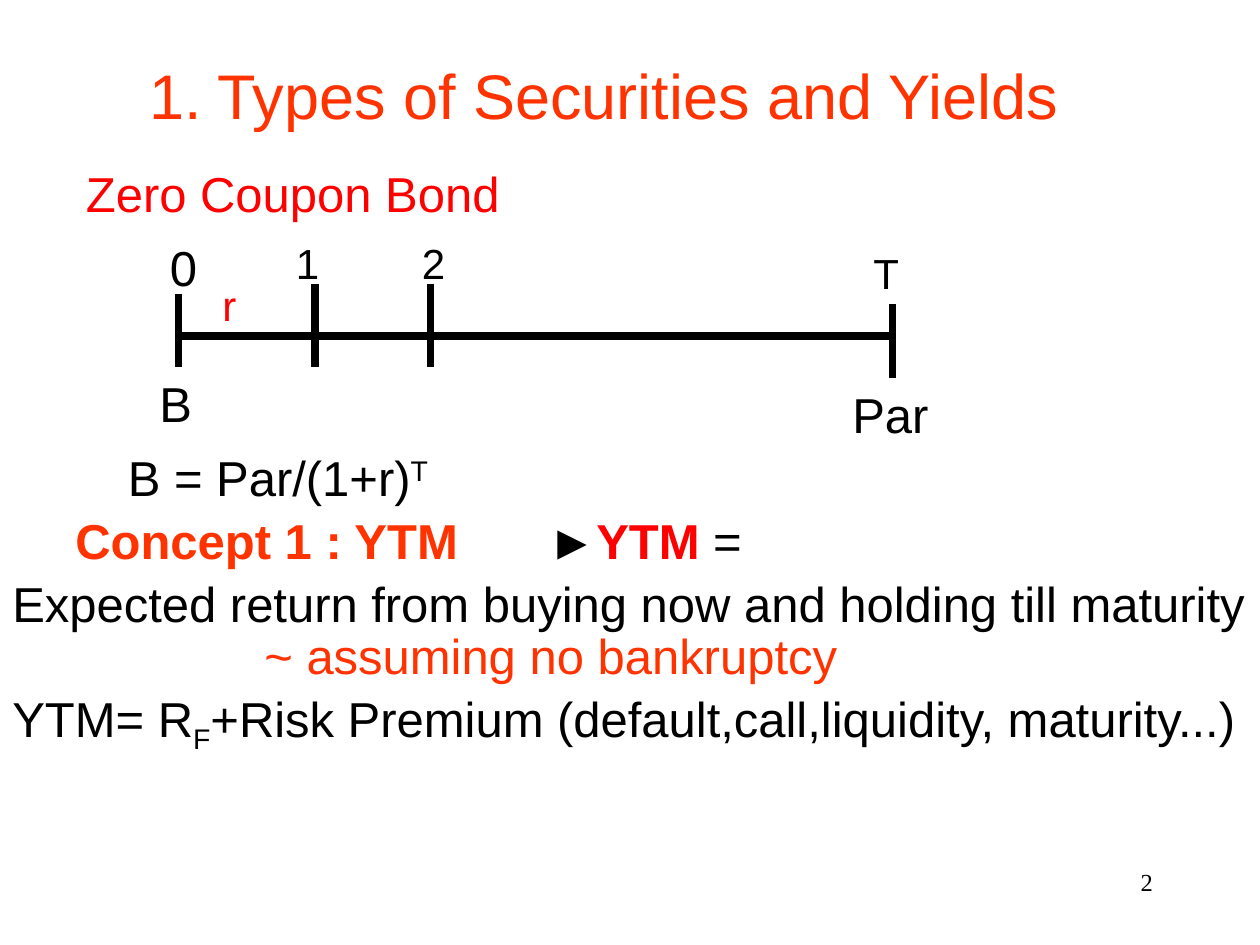
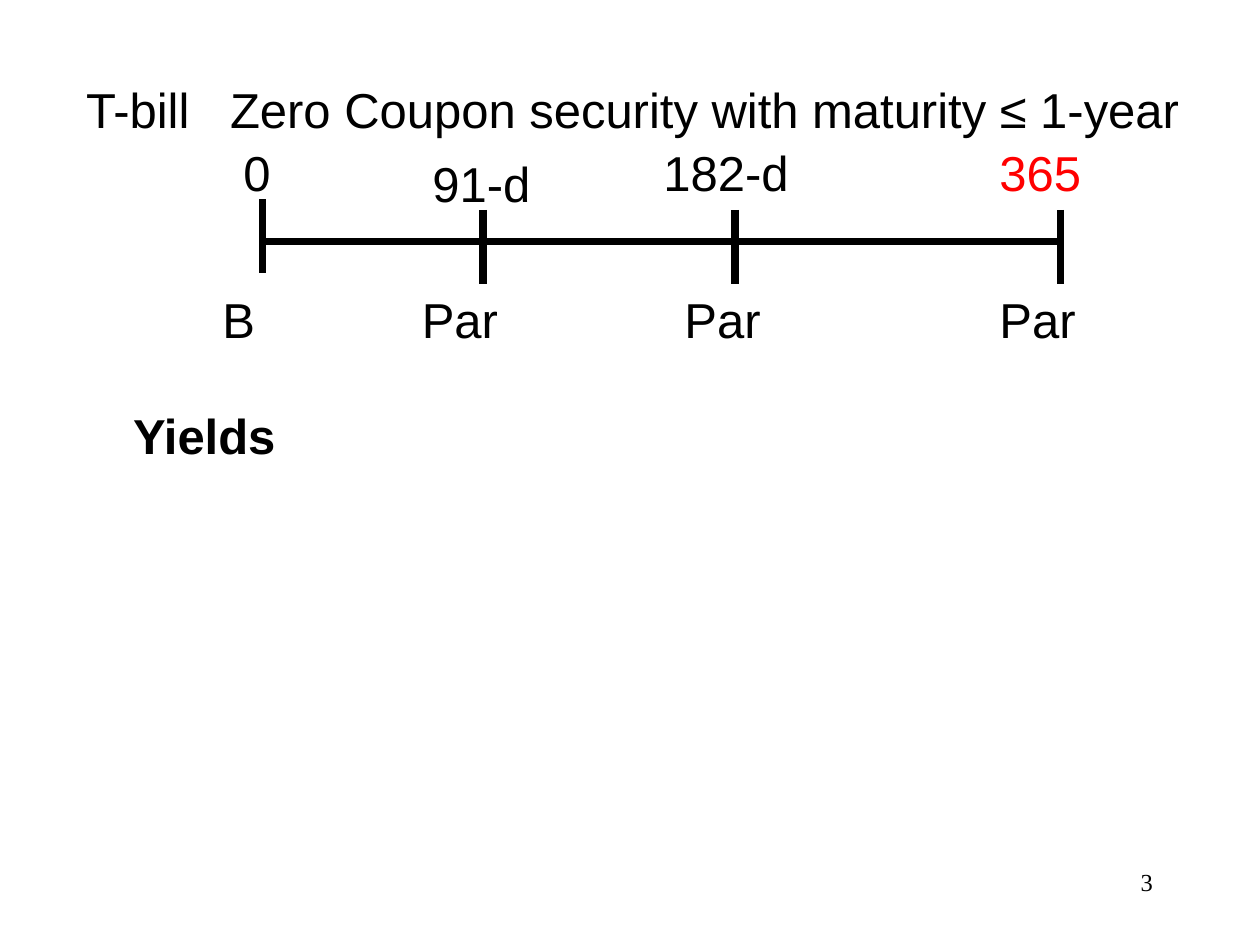
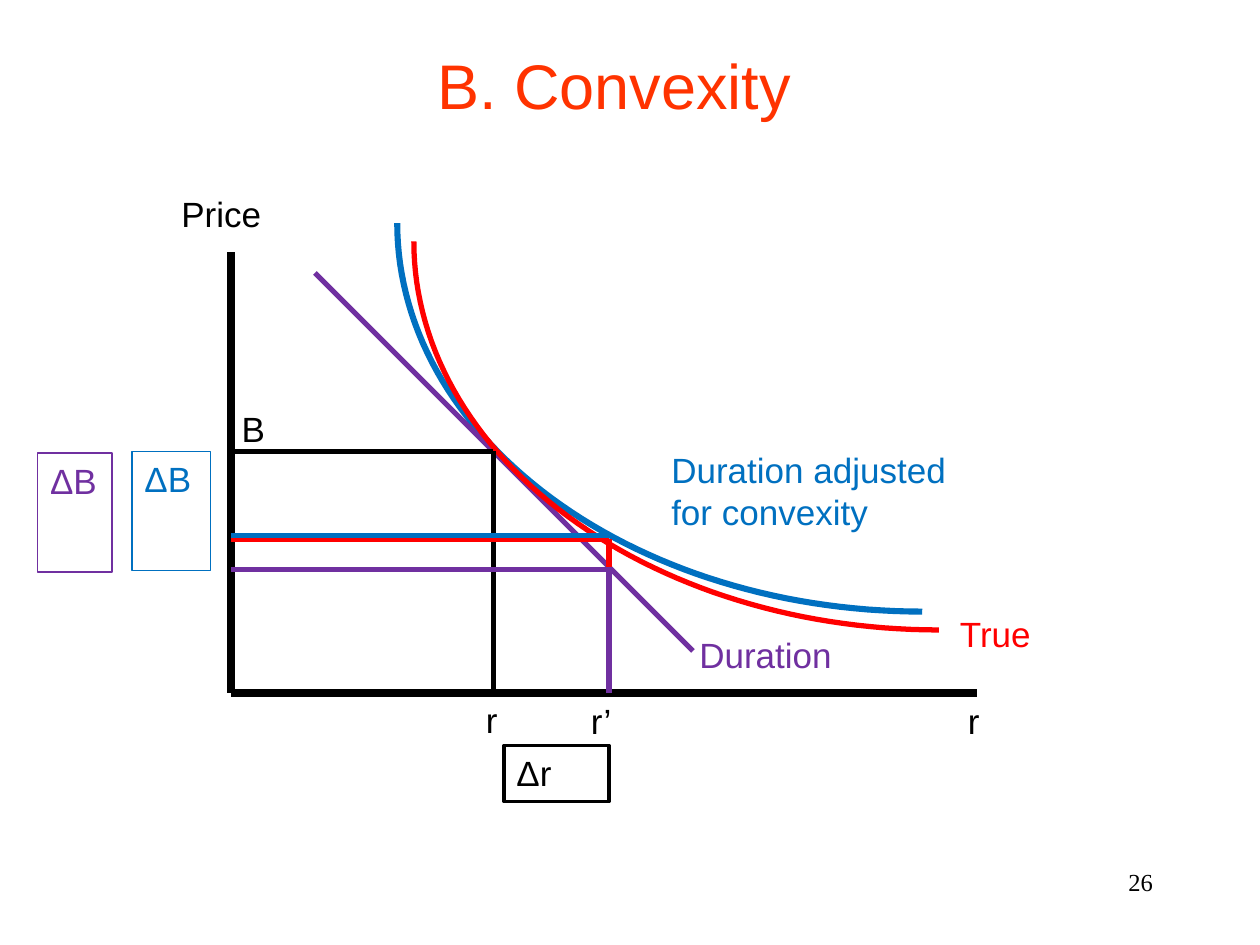
import math

import pptx
import pptx.dml.color
import pptx.enum.shapes
import pptx.enum.text
import pptx.oxml.ns
import pptx.util
from lxml import etree

Pt = pptx.util.Pt
Align = pptx.enum.text.PP_ALIGN
Anchor = pptx.enum.text.MSO_ANCHOR
BLACK, RED, ORANGE = "000000", "FF0000", "FF3300"
BLUE, PURPLE = "0070C0", "7030A0"


def color(code):
    return pptx.dml.color.RGBColor.from_string(code)


def add_tag(parent, name):
    return etree.SubElement(parent, pptx.oxml.ns.qn(name))


class Deck:
    font = "Arial"
    size = 28

    def __init__(self):
        self.show = pptx.Presentation()
        self.show.slide_width, self.show.slide_height = Pt(720), Pt(540)

    def page(self, number):
        layout = self.show.slide_layouts[5]  # title only
        self.slide = self.show.slides.add_slide(layout)
        self.shapes = self.slide.shapes
        self.text(516, 492, 150, 36, str(number), size=14,
                  font="Times New Roman", align=Align.RIGHT)

    def label(self, shape, parts, size=None, tone=BLACK, bold=False,
              font=None, align=Align.LEFT, anchor=Anchor.TOP):
        """Fill one paragraph; parts is a string or (text, changes) pairs."""
        frame = shape.text_frame
        frame.word_wrap = True
        frame.auto_size = pptx.enum.text.MSO_AUTO_SIZE.NONE
        frame.vertical_anchor = anchor
        para = frame.paragraphs[0]
        para.alignment = align
        para.font.name = font or self.font
        para.font.size = Pt(size or self.size)
        para.font.bold = bold
        para.font.color.rgb = color(tone)
        if isinstance(parts, str):
            parts = [(parts, {})]
        for words, change in parts:
            run = para.add_run()
            run.text = words
            if "tone" in change:
                run.font.color.rgb = color(change["tone"])
            if "bold" in change:
                run.font.bold = change["bold"]
            if "shift" in change:
                run._r.get_or_add_rPr().set("baseline", str(change["shift"] * 1000))
        return para

    def title(self, left, top, width, height, words, **style):
        shape = self.shapes.title
        shape.left, shape.top = Pt(left), Pt(top)
        shape.width, shape.height = Pt(width), Pt(height)
        style = {"size": 36, "tone": ORANGE, "anchor": Anchor.MIDDLE, **style}
        return self.label(shape, words, **style)

    def text(self, left, top, width, height, parts, **style):
        shape = self.shapes.add_textbox(Pt(left), Pt(top), Pt(width), Pt(height))
        return self.label(shape, parts, **style)

    def frame(self, left, top, width, height, words, tone, weight):
        kind = pptx.enum.shapes.MSO_SHAPE.RECTANGLE
        shape = self.shapes.add_shape(kind, Pt(left), Pt(top), Pt(width), Pt(height))
        self.outline(shape, tone, weight)
        self.label(shape, words, size=20, tone=tone)

    def outline(self, shape, tone, weight):
        shape.shadow.inherit = False
        shape.fill.background()
        shape.line.color.rgb = color(tone)
        shape.line.width = Pt(weight)

    def line(self, x1, y1, x2, y2, tone=BLACK, weight=4.5):
        kind = pptx.enum.shapes.MSO_CONNECTOR.STRAIGHT
        link = self.shapes.add_connector(kind, Pt(x1), Pt(y1), Pt(x2), Pt(y2))
        link.line.color.rgb = color(tone)
        link.line.width = Pt(weight)
        add_tag(link._element.spPr, "a:effectLst")

    def curve(self, left, top, width, height, tone, weight, steps=60):
        """Draw the lower left quarter of an ellipse."""
        points = []
        for step in range(steps + 1):
            angle = math.pi / 2 * step / steps
            points.append((Pt(left + width * (1 - math.cos(angle))),
                           Pt(top + height * math.sin(angle))))
        pen = self.shapes.build_freeform(*points[0])
        pen.add_line_segments(points[1:], close=False)
        self.outline(pen.convert_to_shape(), tone, weight)

    def scale(self, axis, ticks):
        """Draw a time line with ticks given as (x, top, bottom)."""
        self.line(ticks[0][0], axis, ticks[-1][0], axis)
        for x, top, bottom in ticks:
            self.line(x, top, x, bottom)


def bond(deck):
    deck.page(2)
    deck.title(78, 18, 588, 72, "1. Types of Securities and Yields")
    deck.text(42, 90, 312, 41, "Zero Coupon Bond", tone=RED)

    # Time line
    deck.scale(192, [(102, 168, 210), (180, 162, 210),
                     (246, 162, 210), (510, 174, 216)])
    deck.text(90, 132, 30, 41, "0")
    for left, top, mark, tone in [(162, 132, "1", BLACK), (234, 132, "2", BLACK),
                                  (492, 138, "T", BLACK), (120, 156, "r", RED)]:
        deck.text(left, top, 36, 36, mark, size=24, tone=tone)
    deck.text(84, 210, 72, 41, "B")
    deck.text(480, 216, 72, 41, "Par")

    # Price and yield
    deck.text(66, 252, 240, 41, [("B = Par/(1+r)", {}), ("T", {"shift": 30})])
    deck.text(36, 288, 270, 41, "Concept 1 : YTM", tone=ORANGE, bold=True)
    deck.text(306, 288, 342, 41, [
        ("►", {}), ("YTM ", {"tone": RED, "bold": True}), ("=", {})])
    deck.text(0, 324, 720, 41,
              "Expected return from buying now and holding till maturity")
    deck.text(144, 354, 576, 41, "~ assuming no bankruptcy", tone=ORANGE)
    deck.text(0, 390, 720, 45, [
        ("YTM= R", {}), ("F", {"shift": -25}),
        ("+Risk Premium (default,call,liquidity, maturity...)", {})])


def bill(deck):
    deck.page(3)
    head = deck.title(
        42, 42, 678, 41, "T-bill\tZero Coupon security with maturity ≤ 1-year",
        size=28, tone=BLACK, anchor=Anchor.TOP)
    stops = add_tag(etree.Element("root"), "a:tabLst")
    tab = add_tag(stops, "a:tab")
    tab.set("pos", str(Pt(82.3)))
    tab.set("algn", "l")
    head._p.get_or_add_pPr().insert(0, stops)

    # Time line
    deck.scale(138, [(150, 114, 156), (276, 120, 162),
                     (420, 120, 162), (606, 120, 162)])
    for left, top, mark, tone in [(132, 78, "0", BLACK), (240, 84, "91-d", BLACK),
                                  (372, 78, "182-d", BLACK), (564, 78, "365", RED)]:
        deck.text(left, top, 96, 41, mark, tone=tone)
    for left, mark in [(120, "B"), (234, "Par"), (384, "Par"), (564, "Par")]:
        deck.text(left, 162, 84, 41, mark)

    deck.text(69, 228, 162, 41, "Yields", bold=True)


def convex(deck):
    deck.page(26)
    deck.title(54, 30, 594, 36, "B. Convexity", align=Align.CENTER)
    left, base, rate, shift = 132, 396, 282, 348

    # Axes
    deck.line(left, 144, left, base)
    deck.line(left, base, 558, base)

    # Price curves and tangent
    deck.curve(227, 127.5, 300, 222, BLUE, 3.5)
    deck.line(180, 156, 396, 372, PURPLE, 3)
    deck.curve(236.5, 138, 300, 222, RED, 3)

    # Price levels and rates
    deck.line(rate, 258, rate, base, weight=3)
    for right, level, tone in [(rate, 258, BLACK), (shift, 325.5, PURPLE),
                               (shift, 308.5, RED), (shift, 306, BLUE)]:
        deck.line(right, level, left, level, tone, 3)
    deck.line(shift, 330, shift, 308, RED, 3)
    deck.line(shift, base, shift, 324, PURPLE, 3)

    # Changes
    deck.frame(75.5, 258, 45, 68, "ΔB", BLUE, 0.75)
    deck.frame(21.5, 259, 42.5, 68, "ΔB", PURPLE, 1)
    deck.frame(288, 426, 60, 32, "Δr", BLACK, 2)

    # Labels
    for x, y, width, height, words, tone in [
            (96.5, 106.5, 120, 32, "Price", BLACK),
            (131, 229.5, 54, 32, "B", BLACK),
            (270.5, 395.5, 60, 32, "r", BLACK),
            (330.5, 396, 60, 32, "r’", BLACK),
            (546, 396, 120, 32, "r", BLACK),
            (392.5, 358.5, 109.5, 32, "Duration", PURPLE),
            (541.5, 346.5, 78, 32, "True", RED),
            (376.5, 252.5, 176.5, 55.5, "Duration adjusted for convexity", BLUE)]:
        deck.text(x, y, width, height, words, size=20, tone=tone)


def main():
    deck = Deck()
    for build in (bond, bill, convex):
        build(deck)
    deck.show.save("out.pptx")


if __name__ == "__main__":
    main()
